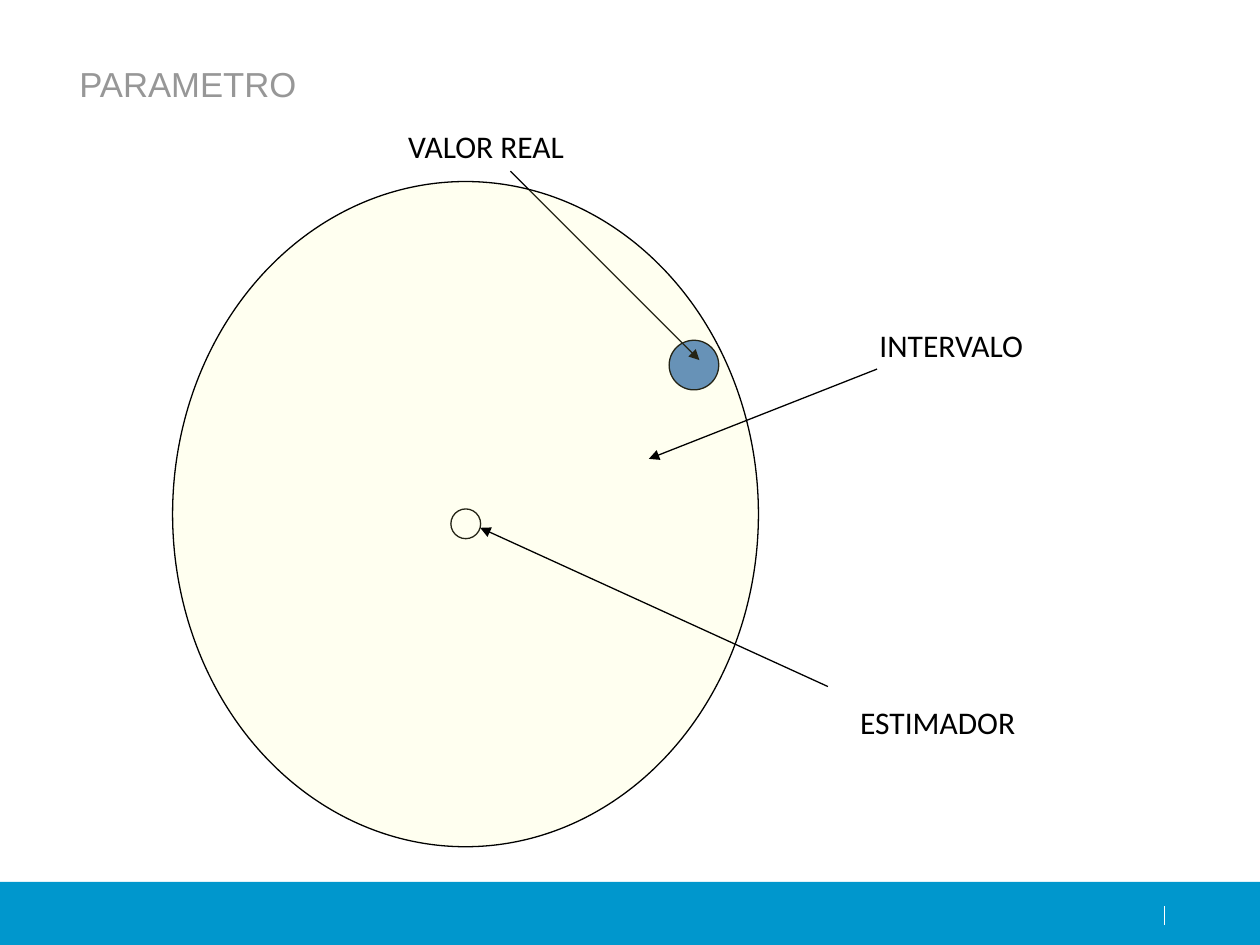
from dataclasses import dataclass
from typing import Optional

import pptx
import pptx.dml.color
import pptx.enum.shapes
import pptx.enum.text
import pptx.oxml
import pptx.oxml.ns
import pptx.util

Cm = pptx.util.Cm
Pt = pptx.util.Pt
SHAPES = pptx.enum.shapes.MSO_SHAPE

COLORS = {
    "bar": "0097CD",
    "white": "FFFFFF",
    "black": "000000",
    "title": "979797",
    "real value": "4F81BD",
    "interval": "FFFF99",
}
LINE_WIDTH = Pt(0.75)
LABEL_HEIGHT = 1.02


# Parts of the diagram, with lengths in centimetres
@dataclass
class Oval:
    left: float
    top: float
    width: float
    height: float
    fill: Optional[str] = None
    opacity: Optional[int] = None


@dataclass
class Line:
    x1: float
    y1: float
    x2: float
    y2: float
    color: str = "black"
    arrow: bool = True


@dataclass
class Label:
    text: str
    left: float
    top: float
    width: float


def rgb(name: str) -> pptx.dml.color.RGBColor:
    return pptx.dml.color.RGBColor.from_string(COLORS[name])


def add_child(parent, tag: str, **attributes: str) -> None:
    child = pptx.oxml.parse_xml(f"<a:{tag} {pptx.oxml.ns.nsdecls('a')}/>")
    for name, value in attributes.items():
        child.set(name, value)
    parent.append(child)


def format_text(frame, text: str, font_format: dict, color: str, **frame_format) -> None:
    for name, value in frame_format.items():
        setattr(frame, name, value)
    para = frame.paragraphs[0]
    para.alignment = pptx.enum.text.PP_ALIGN.LEFT
    span = para.add_run()
    span.text = text
    for name, value in font_format.items():
        setattr(span.font, name, value)
    span.font.color.rgb = rgb(color)


def draw_oval(page, oval: Oval) -> None:
    shape = page.shapes.add_shape(
        SHAPES.OVAL, Cm(oval.left), Cm(oval.top), Cm(oval.width), Cm(oval.height))
    shape.shadow.inherit = False
    shape.line.color.rgb = rgb("black")
    shape.line.width = LINE_WIDTH
    if oval.fill is None:
        shape.fill.background()
        return
    shape.fill.solid()
    shape.fill.fore_color.rgb = rgb(oval.fill)
    if oval.opacity is not None:
        color = shape.fill._xPr.find(".//" + pptx.oxml.ns.qn("a:srgbClr"))
        add_child(color, "alpha", val=str(oval.opacity * 1000))


def draw_line(page, line: Line) -> None:
    connector = page.shapes.add_connector(
        pptx.enum.shapes.MSO_CONNECTOR.STRAIGHT,
        Cm(line.x1), Cm(line.y1), Cm(line.x2), Cm(line.y2))
    connector.line.color.rgb = rgb(line.color)
    connector.line.width = LINE_WIDTH
    if line.arrow:
        add_child(connector.line._get_or_add_ln(), "tailEnd", type="triangle")
    add_child(connector._element.spPr, "effectLst")


def draw_label(page, label: Label) -> None:
    box = page.shapes.add_textbox(
        Cm(label.left), Cm(label.top), Cm(label.width), Cm(LABEL_HEIGHT))
    format_text(box.text_frame, label.text, {"name": "Calibri", "size": Pt(18)},
                "black", word_wrap=True)


DRAW = {Oval: draw_oval, Line: draw_line, Label: draw_label}

# Back to front: the translucent interval covers the real value and the estimator
DIAGRAM = [
    Line(23.48, 18.64, 23.48, 18.26, "white", arrow=False),
    Oval(13.49, 6.86, 1, 1, "real value"),
    Line(10.29, 3.45, 14.1, 7.26),
    Oval(9.09, 10.26, 0.6, 0.6),
    Oval(3.48, 3.66, 11.81, 13.41, "interval", 14),
    Label("ESTIMADOR", 17.09, 14.05, 5.2),
    Line(16.69, 13.84, 9.68, 10.64),
    Label("INTERVALO", 17.48, 6.45, 4.6),
    Line(17.68, 7.44, 13.08, 9.25),
    Label("VALOR REAL", 7.98, 2.44, 4.6),
]

deck = pptx.Presentation()
deck.slide_width = Cm(25.4)
deck.slide_height = Cm(19.05)
page = deck.slides.add_slide(deck.slide_layouts[5])

# Title
title = page.shapes.title
title_place = {"left": Cm(1.6), "top": Cm(1.27), "width": Cm(22.53), "height": Cm(1)}
for name, value in title_place.items():
    setattr(title, name, value)
format_text(title.text_frame, "PARAMETRO", {"name": "Arial", "size": Pt(19.8)}, "title",
            word_wrap=True, auto_size=pptx.enum.text.MSO_AUTO_SIZE.NONE,
            vertical_anchor=pptx.enum.text.MSO_ANCHOR.TOP,
            margin_left=0, margin_top=0, margin_right=0, margin_bottom=0)

# Footer bar
bar = page.shapes.add_shape(SHAPES.RECTANGLE, 0, Cm(17.78), deck.slide_width, Cm(1.27))
bar.shadow.inherit = False
bar.fill.solid()
bar.fill.fore_color.rgb = rgb("bar")
bar.line.fill.background()

# Footer tick and diagram
for part in DIAGRAM:
    DRAW[type(part)](page, part)

deck.save("out.pptx")
